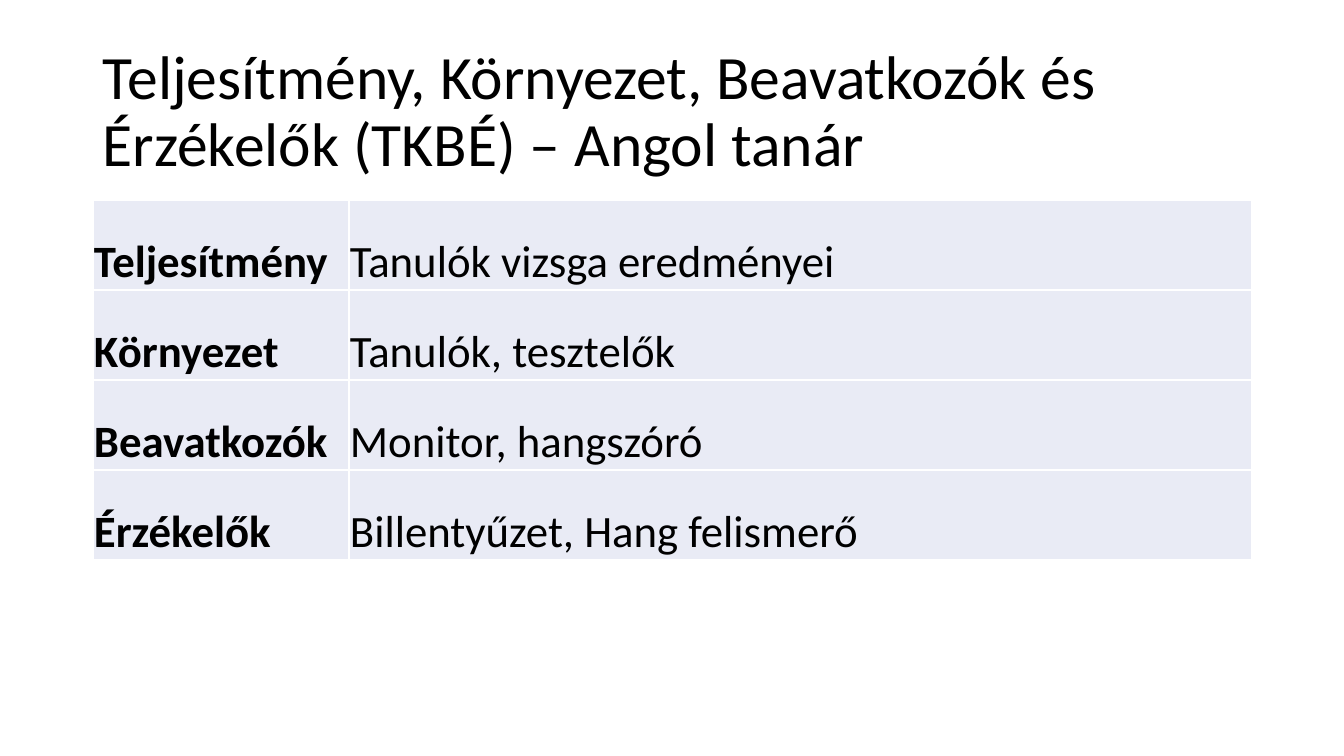
from lxml import etree
from pptx import Presentation
from pptx import util as u
from pptx.dml.color import RGBColor
from pptx.enum import text
from pptx.oxml.ns import qn

EMU_PER_PX = 914400 / 100.8
FONT = "Calibri"
BLACK = RGBColor(0x00, 0x00, 0x00)
WHITE = RGBColor(0xFF, 0xFF, 0xFF)
PALE_BLUE = RGBColor(0xE9, 0xEB, 0xF5)

TITLE = "Teljesítmény, Környezet, Beavatkozók és Érzékelők (TKBÉ) – Angol tanár"
TASK_ENVIRONMENT = [
    ("Teljesítmény", "Tanulók vizsga eredményei"),
    ("Környezet", "Tanulók, tesztelők"),
    ("Beavatkozók", "Monitor, hangszóró"),
    ("Érzékelők", "Billentyűzet, Hang felismerő"),
]
COLUMN_WIDTHS = (256, 903)
ROW_HEIGHT = 90


def px(length):
    return u.Emu(round(length * EMU_PER_PX))


def write_text(frame, content, size, bold=False, line_spacing=None):
    paragraph = frame.paragraphs[0]
    paragraph.alignment = text.PP_ALIGN.LEFT
    paragraph.line_spacing = line_spacing
    run = paragraph.add_run()
    run.text = content
    run.font.name = FONT
    run.font.size = u.Pt(size)
    run.font.bold = bold
    run.font.color.rgb = BLACK


def add_title(slide, content, left, top, width, height):
    frame = slide.shapes.add_textbox(px(left), px(top), px(width), px(height)).text_frame
    frame.word_wrap = True
    frame.vertical_anchor = text.MSO_ANCHOR.MIDDLE
    write_text(frame, content, size=44, line_spacing=0.9)


def set_borders(cell, color, points):
    """Draw all four cell borders; call before the fill, which must follow them in the XML."""
    properties = cell._tc.get_or_add_tcPr()
    for side in ("a:lnL", "a:lnR", "a:lnT", "a:lnB"):
        line = etree.SubElement(properties, qn(side), w=str(u.Pt(points)))
        fill = etree.SubElement(line, qn("a:solidFill"))
        etree.SubElement(fill, qn("a:srgbClr"), val=str(color))


def format_cell(cell, content, bold):
    cell.margin_left = cell.margin_right = cell.margin_top = px(1)
    cell.margin_bottom = 0
    cell.vertical_anchor = text.MSO_ANCHOR.BOTTOM
    set_borders(cell, WHITE, 1)
    cell.fill.solid()
    cell.fill.fore_color.rgb = PALE_BLUE
    write_text(cell.text_frame, content, size=32, bold=bold)


def add_table(slide, rows, left, top):
    table = slide.shapes.add_table(
        len(rows), len(COLUMN_WIDTHS), px(left), px(top),
        px(sum(COLUMN_WIDTHS)), px(ROW_HEIGHT * len(rows)),
    ).table
    table.first_row = table.horz_banding = False
    for column, width in zip(table.columns, COLUMN_WIDTHS):
        column.width = px(width)
    for row, contents in zip(table.rows, rows):
        row.height = px(ROW_HEIGHT)
        for index, content in enumerate(contents):
            format_cell(row.cells[index], content, bold=index == 0)


def main():
    presentation = Presentation()
    presentation.slide_width = px(1344)
    presentation.slide_height = px(756)
    slide = presentation.slides.add_slide(presentation.slide_layouts[6])
    add_title(slide, TITLE, 93, 40, 1159, 146)
    add_table(slide, TASK_ENVIRONMENT, 93, 200)
    presentation.save("out.pptx")


if __name__ == "__main__":
    main()
